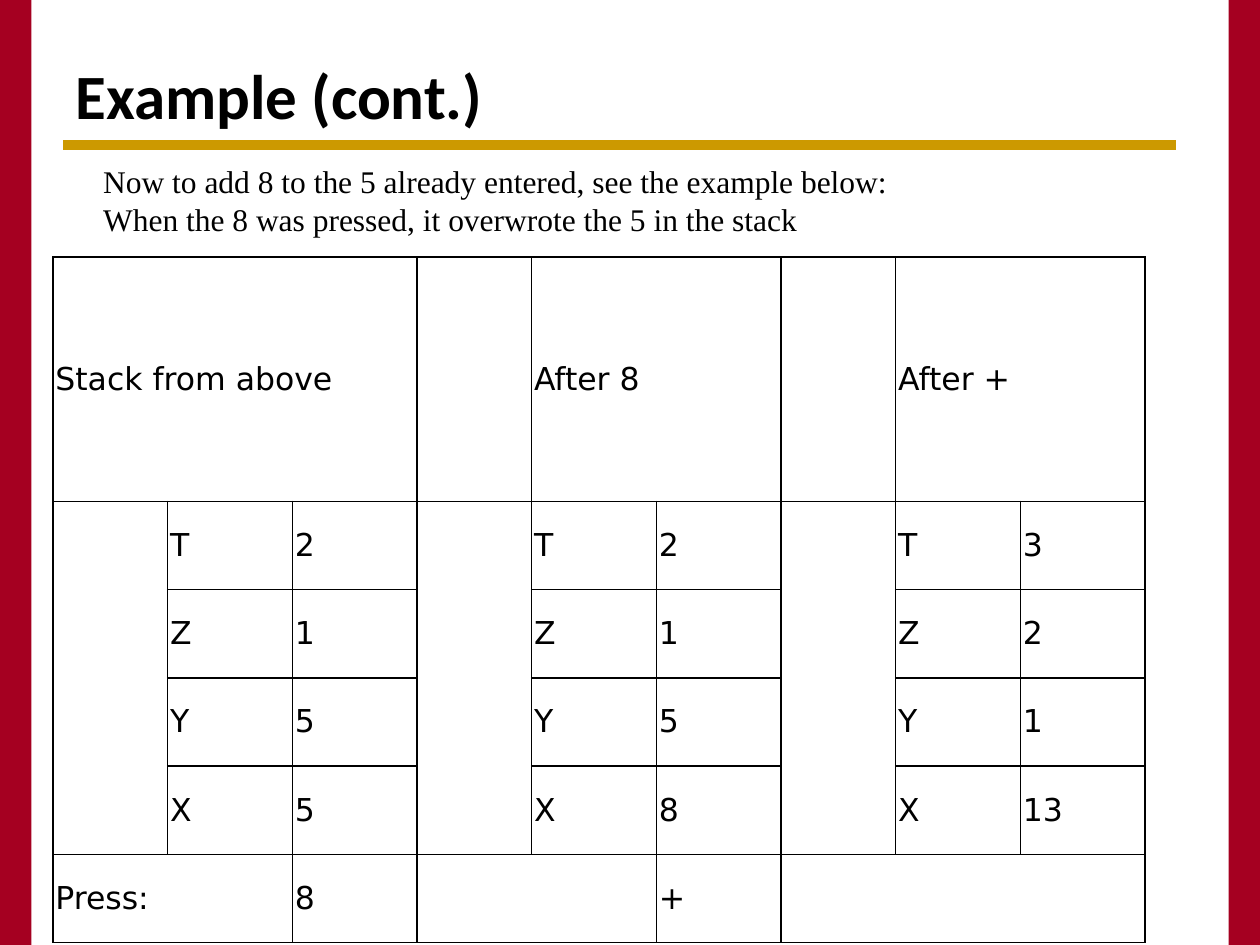
from lxml.etree import SubElement
from pptx import Presentation
from pptx.dml.color import RGBColor
from pptx.enum.shapes import MSO_CONNECTOR as Conn, MSO_SHAPE as Shape
from pptx.enum.text import MSO_ANCHOR as Anchor
from pptx.oxml.ns import qn
from pptx.util import Inches, Pt

# Content
TITLE = "Example (cont.)"
INTRO = [
    "Now to add 8 to the 5 already entered, see the example below:",
    "When the 8 was pressed, it overwrote the 5 in the stack",
]
NAMES = ["T", "Z", "Y", "X"]
STACKS = [  # heading, values from T to X, key pressed next
    ("Stack from above", [2, 1, 5, 5], "8"),
    ("After 8", [2, 1, 5, 8], "+"),
    ("After +", [3, 2, 1, 13], ""),
]
PRESS = "Press:"

COLORS = {"bar": "A50021", "rule": "CC9900", "ink": "000000"}
WIDTHS = [0.91, 0.99, 0.99] * len(STACKS)
HEIGHTS = [1.94] + [0.7] * (len(NAMES) + 1)
PAD = Inches(0.02)


def color(name):
    return RGBColor.from_string(COLORS[name])


def write(para, text, font, size, bold=False):
    run = para.add_run()
    run.text = text
    run.font.name, run.font.size, run.font.bold = font, Pt(size), bold
    run.font.color.rgb = color("ink")


def add_text(slide, box, lines, font, size, anchor, wrap, bold=False):
    frame = slide.shapes.add_textbox(*map(Inches, box)).text_frame
    frame.word_wrap, frame.vertical_anchor = wrap, anchor
    for i, line in enumerate(lines):
        para = frame.add_paragraph() if i else frame.paragraphs[0]
        write(para, line, font, size, bold)


def add_frame(slide):
    # Side bars
    for left in (0, 9.75):
        bar = slide.shapes.add_shape(
            Shape.RECTANGLE, Inches(left), 0, Inches(0.25), Inches(7.5))
        bar.shadow.inherit = False
        bar.fill.solid()
        bar.fill.fore_color.rgb = color("bar")
        bar.line.fill.background()

    # Rule under the title
    rule = slide.shapes.add_connector(
        Conn.STRAIGHT, *map(Inches, (0.5, 1.15, 9.33, 1.15)))
    rule.line.color.rgb = color("rule")
    rule.line.width = Pt(6)
    SubElement(rule._element.spPr, qn("a:effectLst"))


def style(cell):
    props = cell._tc.get_or_add_tcPr()
    for side in ("lnL", "lnR", "lnT", "lnB"):
        line = SubElement(props, qn(f"a:{side}"), w=str(Pt(1)))
        fill = SubElement(line, qn("a:solidFill"))
        SubElement(fill, qn("a:srgbClr"), val=COLORS["ink"])
    cell.fill.background()
    cell.vertical_anchor = Anchor.MIDDLE
    cell.margin_left = cell.margin_right = PAD
    cell.margin_top = cell.margin_bottom = PAD


def add_table(slide):
    rows, cols = len(HEIGHTS), len(WIDTHS)
    table = slide.shapes.add_table(
        rows, cols, Inches(0.42), Inches(2.04),
        Inches(sum(WIDTHS)), Inches(sum(HEIGHTS))).table
    table.first_row = table.horz_banding = False
    for col, width in zip(table.columns, WIDTHS):
        col.width = Inches(width)
    for row, height in zip(table.rows, HEIGHTS):
        row.height = Inches(height)
    for cell in table.iter_cells():
        style(cell)

    def put(row, col, text):
        para = table.cell(row, col).text_frame.paragraphs[0]
        write(para, str(text), "DejaVu Sans", 18)

    def merge(top, left, bottom, right):
        table.cell(top, left).merge(table.cell(bottom, right))

    last = rows - 1
    for i, (head, values, key) in enumerate(STACKS):
        left = 3 * i
        # Heading: the first one also covers its spacer column
        start = left + (i > 0)
        merge(0, start, 0, left + 2)
        put(0, start, head)
        # Stack registers beside a tall spacer
        merge(1, left, last - 1, left)
        for row, (name, value) in enumerate(zip(NAMES, values), 1):
            put(row, left + 1, name)
            put(row, left + 2, value)
        # Key row
        merge(last, left, last, left + (1 if key else 2))
        if key:
            put(last, left + 2, key)
    put(last, 0, PRESS)


def main():
    deck = Presentation()
    deck.slide_width, deck.slide_height = Inches(10), Inches(7.5)
    slide = deck.slides.add_slide(deck.slide_layouts[6])
    add_frame(slide)
    add_text(slide, (0.5, 0.2, 9, 0.9), [TITLE], "Calibri", 36,
             Anchor.BOTTOM, True, bold=True)
    add_table(slide)
    add_text(slide, (0.72, 1.23, 6.49, 0.71), INTRO, "Times New Roman", 18,
             Anchor.MIDDLE, False)
    deck.save("out.pptx")


if __name__ == "__main__":
    main()
